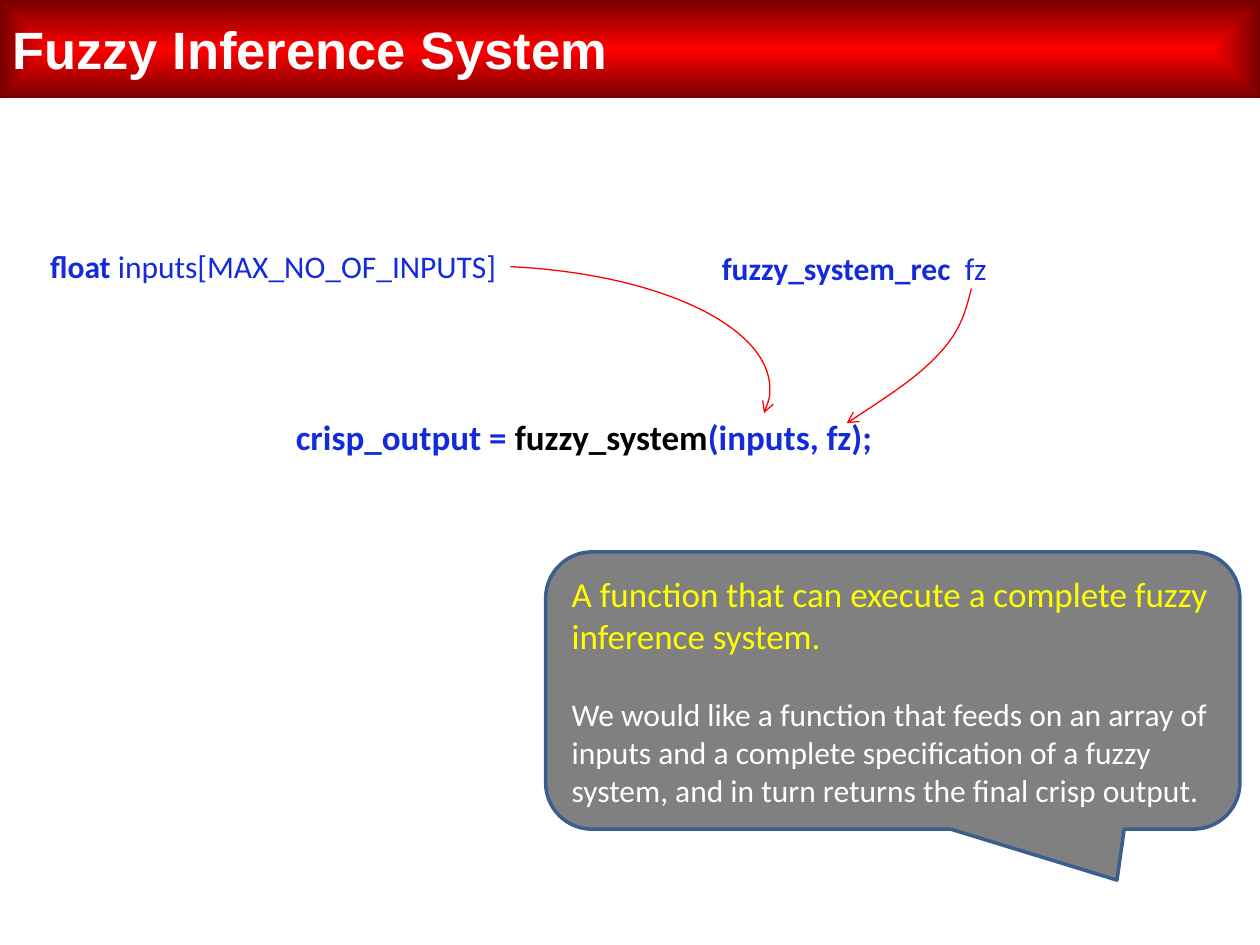
import pptx
import pptx.util
import pptx.dml.color
import pptx.enum.shapes
import pptx.enum.text
import pptx.oxml
import pptx.oxml.ns
import lxml.etree

Pt = pptx.util.Pt
SHAPES = pptx.enum.shapes.MSO_SHAPE
qn = pptx.oxml.ns.qn
COLORS = {
    "red": "FF0000", "dark red": "760000", "code": "132BDD", "black": "000000",
    "white": "FFFFFF", "yellow": "FFFF00", "gray": "808080", "border": "3A5F8C",
}


def add_run(paragraph, text, size, color, bold=False, font="Calibri"):
    run = paragraph.add_run()
    run.text = text
    run.font.name = font
    run.font.size = Pt(size)
    run.font.bold = bold
    run.font.color.rgb = pptx.dml.color.RGBColor.from_string(COLORS[color])


def style_arrow(shape):
    shape.shadow.inherit = False
    shape.fill.background()
    shape.line.color.rgb = pptx.dml.color.RGBColor.from_string(COLORS["red"])
    shape.line.width = Pt(0.75)
    tail = lxml.etree.SubElement(shape.line._get_or_add_ln(), qn("a:tailEnd"))
    tail.set("type", "arrow")


presentation = pptx.Presentation()
presentation.slide_width = Pt(720)
presentation.slide_height = Pt(540)
slide = presentation.slides.add_slide(presentation.slide_layouts[6])

# Title bar, with a gradient from its middle to its edges
title = slide.shapes.add_shape(SHAPES.RECTANGLE, 0, 0, Pt(720), Pt(56))
title.shadow.inherit = False
title.line.fill.background()
title.fill.gradient()
for stop, color in zip(title.fill.gradient_stops, ("red", "dark red")):
    stop.color.rgb = pptx.dml.color.RGBColor.from_string(COLORS[color])
gradient = title.fill._xPr.find(qn("a:gradFill"))
gradient.replace(gradient.find(qn("a:lin")), pptx.oxml.parse_xml(
    '<a:path xmlns:a="http://schemas.openxmlformats.org/drawingml/2006/main" path="shape">'
    '<a:fillToRect l="50000" t="50000" r="50000" b="50000"/></a:path>'))
title.text_frame.vertical_anchor = pptx.enum.text.MSO_ANCHOR.MIDDLE
paragraph = title.text_frame.paragraphs[0]
paragraph.alignment = pptx.enum.text.PP_ALIGN.LEFT
add_run(paragraph, "Fuzzy Inference System", 30, "white", True, "Arial")

# Callout describing the function
callout = slide.shapes.add_shape(
    SHAPES.ROUNDED_RECTANGULAR_CALLOUT, Pt(311.8), Pt(315.4), Pt(396.7), Pt(158.4))
for index, value in enumerate((0.323, 0.684, 0.167)):
    callout.adjustments[index] = value
callout.shadow.inherit = False
callout.fill.solid()
callout.fill.fore_color.rgb = pptx.dml.color.RGBColor.from_string(COLORS["gray"])
callout.line.color.rgb = pptx.dml.color.RGBColor.from_string(COLORS["border"])
callout.line.width = Pt(2)
frame = callout.text_frame
frame.word_wrap = True
frame.vertical_anchor = pptx.enum.text.MSO_ANCHOR.MIDDLE
summary, detail = frame.paragraphs[0], frame.add_paragraph()
summary.alignment = detail.alignment = pptx.enum.text.PP_ALIGN.LEFT
detail.space_before = Pt(22)
add_run(summary, "A function that can execute a complete fuzzy inference system.", 20, "yellow")
add_run(detail, "We would like a function that feeds on an array of inputs and a complete "
        "specification of a fuzzy system, and in turn returns the final crisp output.", 18, "white")

# Lines of code: left, top, width, height, size, runs
code_lines = [
    (21.6, 137.5, 280.8, 28.8, 18,
     [("float", "code", True), (" inputs[MAX_NO_OF_INPUTS]", "code", False)]),
    (405.4, 139, 280.8, 28.8, 18,
     [("fuzzy_system_rec  ", "code", True), ("fz", "code", False)]),
    (162, 234, 419.8, 31.7, 20,
     [("crisp_output = ", "code", True), ("fuzzy_system", "black", True),
      ("(inputs, fz);", "code", True)]),
]
for left, top, width, height, size, runs in code_lines:
    box = slide.shapes.add_textbox(Pt(left), Pt(top), Pt(width), Pt(height))
    box.text_frame.word_wrap = True
    box.text_frame.auto_size = pptx.enum.text.MSO_AUTO_SIZE.SHAPE_TO_FIT_TEXT
    for text, color, bold in runs:
        add_run(box.text_frame.paragraphs[0], text, size, color, bold)

# Arrow from the inputs array to its argument
inputs_arrow = slide.shapes.add_shape(SHAPES.ARC, Pt(105.1), Pt(151.9), Pt(334.8), Pt(140.4))
inputs_arrow.adjustments[0] = 171.23
inputs_arrow.adjustments[1] = 2.93
style_arrow(inputs_arrow)

# Arrow from the system record to its argument: each three points make one curve
curve = [(552.2, 165.1), (537.1, 201.6), (483.8, 241.9)]
controls = [[(552.2, 176.4), (549.4, 188.6)], [(525.6, 214.6), (504.7, 228.2)]]
points = [curve[0], *controls[0], curve[1], *controls[1], curve[2]]
builder = slide.shapes.build_freeform(Pt(555.1), Pt(164.9))
builder.add_line_segments(
    [(Pt(x), Pt(y)) for x, y in points[1:]], close=False)
record_arrow = builder.convert_to_shape()
outline = record_arrow._element.spPr.find(".//" + qn("a:path"))
segments = outline.findall(qn("a:lnTo"))
for start in range(0, len(segments), 3):
    bezier = lxml.etree.SubElement(outline, qn("a:cubicBezTo"))
    for segment in segments[start:start + 3]:
        bezier.append(segment[0])
        outline.remove(segment)
style_arrow(record_arrow)

presentation.save("out.pptx")
